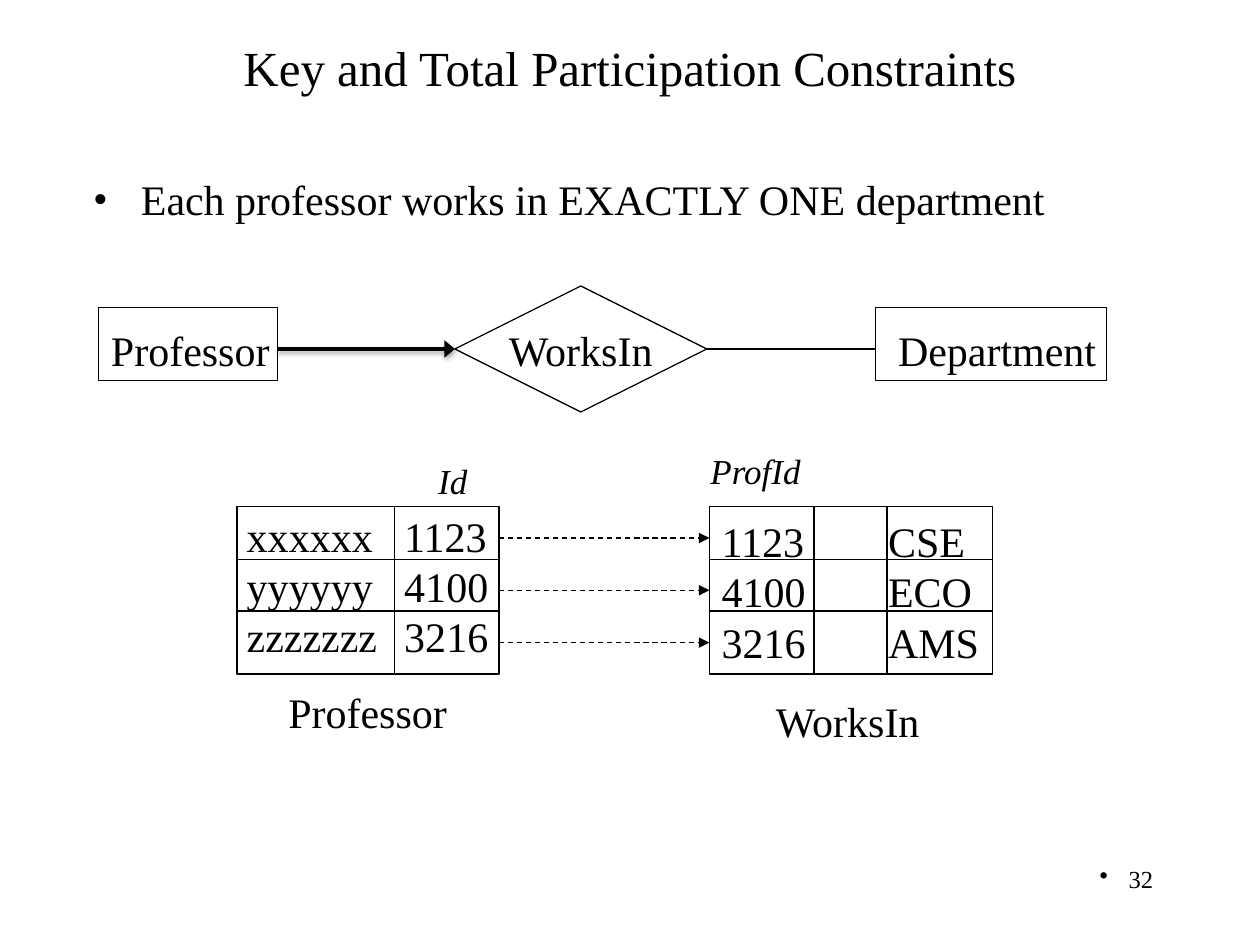
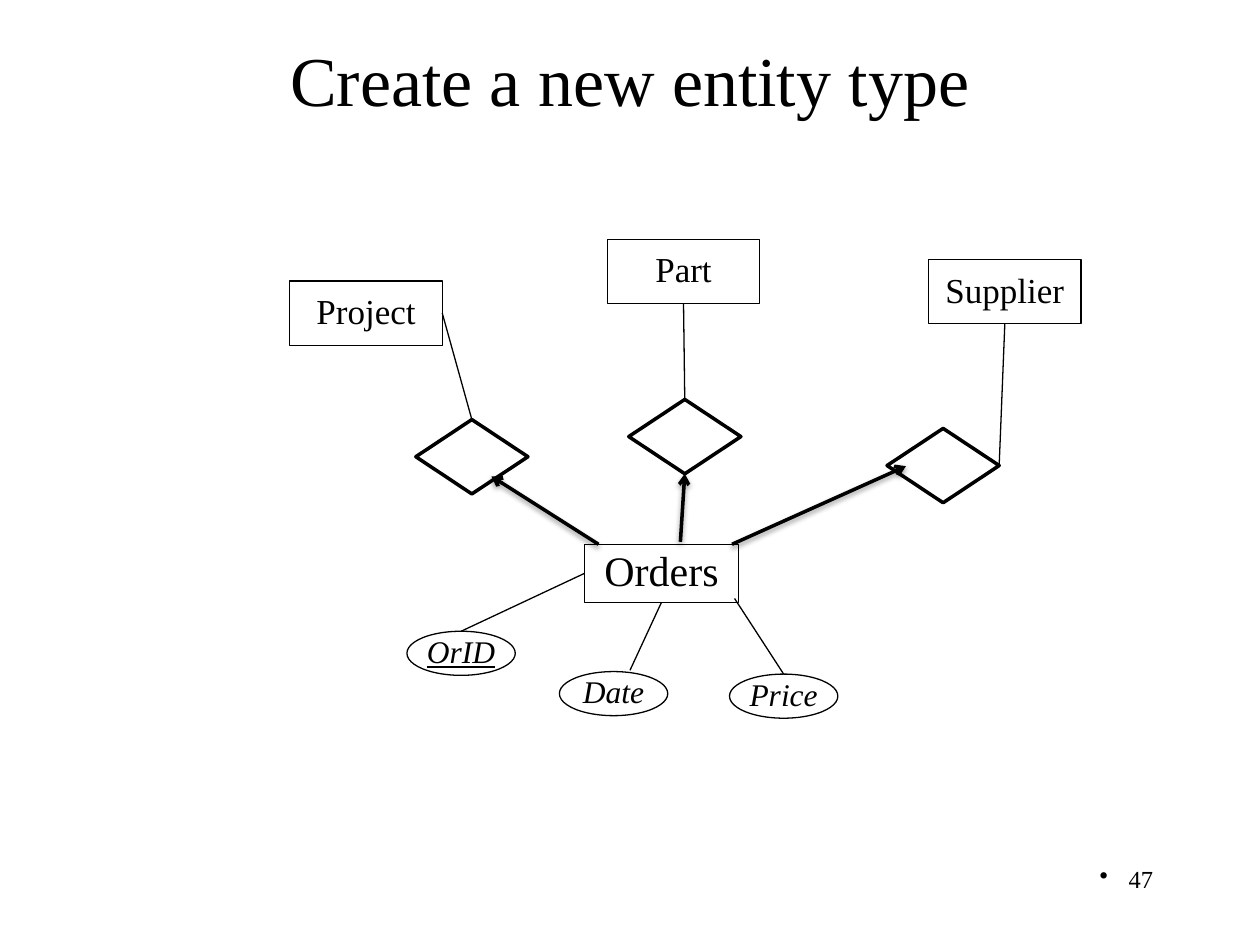
from collections import namedtuple
from dataclasses import dataclass

import pptx
import pptx.util
from lxml import etree
from pptx.dml.color import RGBColor
from pptx.enum.dml import MSO_LINE
from pptx.enum.shapes import MSO_CONNECTOR, MSO_SHAPE
from pptx.enum.text import MSO_ANCHOR, PP_ALIGN
from pptx.oxml import parse_xml
from pptx.oxml.ns import nsdecls, qn
from pptx.util import Inches

TOP, LEFT, BOTTOM, RIGHT = range(4)
Site = namedtuple("Site", "shape side")


@dataclass(frozen=True)
class Theme:
    font: str = "Times New Roman"
    ink: RGBColor = RGBColor(0, 0, 0)
    paper: RGBColor = RGBColor(255, 255, 255)
    body: int = 24
    label: int = 20
    attribute: int = 18
    footer: int = 14
    hairline: float = 0.25
    thin: float = 0.75
    thick: float = 2
    tight: float = 0.9
    row_pitch: float = 28.8


class SlideBuilder:
    def __init__(self, deck, theme):
        self.deck = deck
        self.theme = theme
        self.page = None

    def start(self, title, title_box, title_size, number, spacing=None):
        """Add a slide with the shared title and page number."""
        self.page = self.deck.slides.add_slide(self.deck.slide_layouts[6])
        number_box = self.text([number], (7.17, 6.81, 2.08, 0.5), self.theme.footer,
                               align=PP_ALIGN.RIGHT)
        self.bullet(number_box, 0.23)
        box = self.text([title], title_box, title_size, align=PP_ALIGN.CENTER,
                        spacing=spacing)
        box.text_frame.vertical_anchor = MSO_ANCHOR.MIDDLE

    def style(self, para, size, italic=False, underline=False):
        font = para.font
        font.name = self.theme.font
        font.size = pptx.util.Pt(size)
        font.color.rgb = self.theme.ink
        font.italic = italic
        font.underline = underline

    def text(self, lines, bounds, size, align=PP_ALIGN.LEFT, italic=False,
             wrap=True, spacing=None):
        box = self.page.shapes.add_textbox(*map(Inches, bounds))
        frame = box.text_frame
        frame.word_wrap = wrap
        frame.text = "\n".join(lines)
        for para in frame.paragraphs:
            para.alignment = align
            para.line_spacing = spacing
            self.style(para, size, italic)
        return box

    def add_properties(self, box, *fragments):
        """Put bullet or tab settings in place on every paragraph of a box."""
        for para in box.text_frame.paragraphs:
            properties = para._p.get_or_add_pPr()
            for fragment in fragments:
                properties.insert_element_before(
                    parse_xml(fragment), "a:tabLst", "a:defRPr", "a:extLst")

    def bullet(self, box, indent, font=None):
        properties = box.text_frame.paragraphs[0]._p.get_or_add_pPr()
        properties.set("marL", str(Inches(indent)))
        properties.set("indent", str(-Inches(indent)))
        if font:
            self.add_properties(box, f'<a:buFont {nsdecls("a")} typeface="{font}"/>')
        self.add_properties(box, f'<a:buChar {nsdecls("a")} char="•"/>')

    def shape(self, kind, bounds, words="", size=None, weight=None, filled=False,
              italic=False, underline=False, nudge=(0, 0)):
        """Add an outlined shape; nudge moves its centred words right and down."""
        shape = self.page.shapes.add_shape(kind, *map(Inches, bounds))
        shape.shadow.inherit = False
        if filled:
            shape.fill.solid()
            shape.fill.fore_color.rgb = self.theme.paper
        else:
            shape.fill.background()
        shape.line.color.rgb = self.theme.ink
        shape.line.width = pptx.util.Pt(weight or self.theme.thin)
        if words:
            frame = shape.text_frame
            frame.word_wrap = False
            frame.vertical_anchor = MSO_ANCHOR.MIDDLE
            frame.margin_left, frame.margin_top = (Inches(2 * shift) for shift in nudge)
            frame.margin_right = frame.margin_bottom = 0
            para = frame.paragraphs[0]
            para.text = words
            para.alignment = PP_ALIGN.CENTER
            para.line_spacing = self.theme.tight
            self.style(para, size, italic, underline)
        return shape

    def line(self, start, end, weight=None, head=None, head_width="med",
             dashed=False, shadow=False):
        """Join two ends, each a point in inches or a Site on a shape."""
        points = [(0, 0) if isinstance(spot, Site) else spot for spot in (start, end)]
        line = self.page.shapes.add_connector(
            MSO_CONNECTOR.STRAIGHT, *(Inches(value) for point in points for value in point))
        if isinstance(start, Site):
            line.begin_connect(*start)
        if isinstance(end, Site):
            line.end_connect(*end)
        line.line.color.rgb = self.theme.ink
        line.line.width = pptx.util.Pt(weight or self.theme.thin)
        if dashed:
            line.line.dash_style = MSO_LINE.DASH
        if head:
            etree.SubElement(line.line._get_or_add_ln(), qn("a:tailEnd"),
                             type=head, w=head_width, len="med")
        effects = etree.SubElement(line._element.spPr, qn("a:effectLst"))
        if shadow:
            effects.append(parse_xml(
                f'<a:outerShdw {nsdecls("a")} blurRad="{pptx.util.Pt(3.1)}" '
                f'dist="{pptx.util.Pt(1.6)}" dir="5400000" rotWithShape="0">'
                f'<a:srgbClr val="{self.theme.ink}"><a:alpha val="38000"/></a:srgbClr>'
                '</a:outerShdw>'))

    def thick_arrow(self, start, end, head="arrow", head_width="med"):
        self.line(start, end, self.theme.thick, head, head_width, shadow=True)

    def ruled_grid(self, bounds, row_lines, column_lines):
        """Draw a frame with inner rules at the given heights and positions."""
        left, top, width, height = bounds
        self.shape(MSO_SHAPE.RECTANGLE, bounds)
        for level in row_lines:
            self.line((left, level), (left + width, level))
        for position in column_lines:
            self.line((position, top), (position, top + height))

    def tabbed_rows(self, rows, bounds, tab):
        box = self.text(["\t".join(row) for row in rows], bounds, self.theme.body,
                        spacing=pptx.util.Pt(self.theme.row_pitch))
        self.add_properties(box, f'<a:tabLst {nsdecls("a")}>'
                                 f'<a:tab pos="{Inches(tab)}" algn="l"/></a:tabLst>')


def participation_slide(builder):
    theme = builder.theme
    builder.start("Key and Total Participation Constraints", (0.75, 0.25, 8.5, 0.62),
                  28, "32", theme.tight)
    statement = builder.text(["Each professor works in EXACTLY ONE department"],
                             (0.64, 1.37, 9.17, 0.87), theme.body, spacing=theme.tight)
    builder.bullet(statement, 0.38, theme.font)

    # Relationship between the two entities
    works_in = builder.shape(MSO_SHAPE.DIAMOND, (3.61, 2.27, 2, 1), "WorksIn",
                             theme.body, nudge=(0, 0.03))
    for name, left, width, shift in (("Professor", 0.78, 1.42, 0.02),
                                     ("Department", 6.95, 1.83, 0.05)):
        builder.shape(MSO_SHAPE.RECTANGLE, (left, 2.44, width, 0.58), name,
                      theme.body, nudge=(shift, 0.07))
    builder.thick_arrow((2.2, 2.77), Site(works_in, LEFT), "triangle", "lg")
    builder.line(Site(works_in, RIGHT), (6.95, 2.77))

    # Sample rows of both relations
    builder.tabbed_rows((("xxxxxx", "1123"), ("yyyyyy", "4100"), ("zzzzzzz", "3216")),
                        (1.86, 4, 2.15, 1.3), tab=1.25)
    builder.tabbed_rows((("1123", "CSE"), ("4100", "ECO"), ("3216", "AMS")),
                        (5.63, 4.04, 2.26, 1.3), tab=1.32)
    row_lines = (4.44, 4.85)
    builder.ruled_grid((1.88, 4.02, 2.08, 1.33), row_lines, (3.13,))
    builder.ruled_grid((5.63, 4.02, 2.25, 1.33), row_lines, (6.46, 7.04))
    for row in range(3):
        level = 4.27 + 0.415 * row
        builder.line((3.96, level), (5.63, level), head="triangle", dashed=True)

    # Relation names and key columns
    for name, bounds in (("Professor", (2.19, 5.4, 1.46, 0.5)),
                         ("WorksIn", (6.06, 5.47, 1.37, 0.5))):
        builder.text([name], bounds, theme.body, wrap=False)
    for name, bounds in (("Id", (3.38, 3.6, 0.43, 0.43)),
                         ("ProfId", (5.54, 3.52, 0.93, 0.43))):
        builder.text([name], bounds, theme.label, italic=True, wrap=False)


def entity_slide(builder):
    theme = builder.theme
    builder.start("Create a new entity type", (0.75, 0.33, 8.5, 0.58), 40, "47")

    # Entities and attributes
    project, part, supplier = (
        builder.shape(MSO_SHAPE.RECTANGLE, (left, top, 1.21, 0.51), name, theme.label)
        for name, left, top in (("Project", 2.3, 2.23), ("Part", 4.82, 1.9),
                                ("Supplier", 7.37, 2.06)))
    orders = builder.shape(MSO_SHAPE.RECTANGLE, (4.64, 4.32, 1.22, 0.46), "Orders",
                           theme.body, theme.hairline)
    order_id, date, price = (
        builder.shape(MSO_SHAPE.OVAL, (left, top, 0.86, 0.35), name, theme.attribute,
                      italic=True, underline=name == "OrID")
        for name, left, top in (("OrID", 3.23, 5.01), ("Date", 4.44, 5.33),
                                ("Price", 5.79, 5.35)))
    builder.line(Site(order_id, TOP), Site(orders, LEFT))
    builder.line(Site(orders, BOTTOM), (5, 5.32))
    builder.line((5.83, 4.75), Site(price, TOP))

    # Relationships
    project_link, part_link, supplier_link = (
        builder.shape(MSO_SHAPE.FLOWCHART_DECISION, (left, top, 0.89, 0.59),
                      weight=theme.thick, filled=True)
        for left, top in ((3.3, 3.33), (4.99, 3.17), (7.04, 3.4)))
    builder.thick_arrow((5.4, 4.3), Site(part_link, BOTTOM))
    builder.thick_arrow((4.75, 4.32), (3.9, 3.78))
    builder.thick_arrow((5.81, 4.32), (7.19, 3.7))
    builder.line(Site(project_link, TOP), Site(project, RIGHT))
    builder.line(Site(part_link, TOP), Site(part, BOTTOM))
    builder.line(Site(supplier_link, RIGHT), Site(supplier, BOTTOM))


def main():
    deck = pptx.Presentation()
    deck.slide_width, deck.slide_height = Inches(10), Inches(7.5)
    builder = SlideBuilder(deck, Theme())
    participation_slide(builder)
    entity_slide(builder)
    deck.save("out.pptx")


if __name__ == "__main__":
    main()
